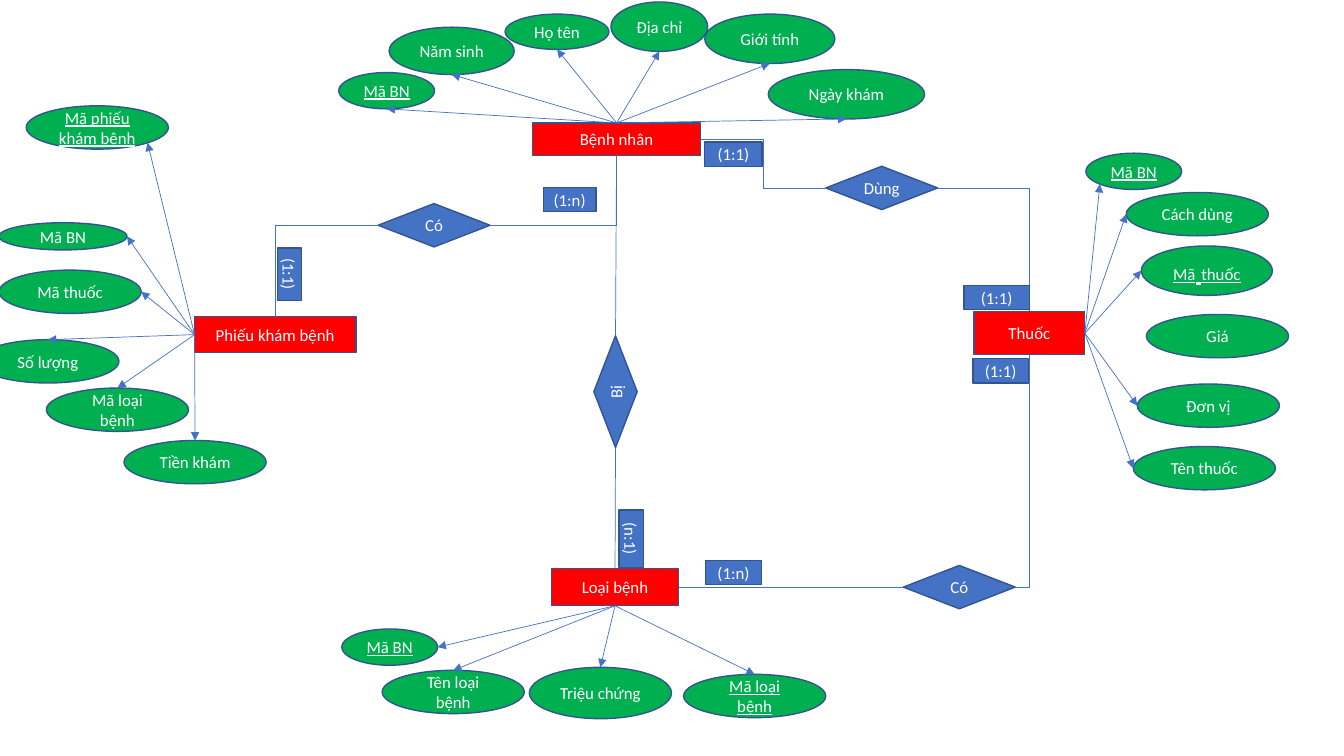
from dataclasses import dataclass
from math import sqrt

from lxml.etree import SubElement
from pptx import Presentation
from pptx.dml.color import RGBColor
from pptx.enum.shapes import MSO_CONNECTOR, MSO_SHAPE
from pptx.enum.text import MSO_ANCHOR, PP_ALIGN
from pptx.oxml.ns import qn
from pptx.util import Pt

# Content: boxes are left, top, width, height in px (100 px to the inch)
SIZE = (1333, 750)

# Entity: key -> text, box
ENTITIES = {
    "patient": ("Bệnh nhân", (528, 122, 167, 32)),
    "drug": ("Thuốc", (966, 309, 110, 43)),
    "form": ("Phiếu khám bệnh", (193, 314, 160, 36)),
    "illness": ("Loại bệnh", (547, 564, 126, 37)),
}

# Relation: key -> text, box as seen, rotation
RELATIONS = {
    "takes": ("Dùng", (819, 165, 111, 43), 0),
    "treats": ("Có", (896, 561, 111, 43), 0),
    "holds": ("Có", (375, 202, 111, 43), 0),
    "suffers": ("Bị", (589, 333, 43, 111), 270),
}

# Attributes: entity, side the arrows leave, (text, box, arrow end, key field)
FIELDS = [
    ("patient", "n", [
        ("Địa chỉ", (606, 2, 96, 49), "s", False),
        ("Năm sinh", (386, 27, 124, 47), "s", False),
        ("Giới tính", (699, 14, 129, 49), "s", False),
        ("Họ tên", (501, 14, 103, 35), "s", False),
        ("Ngày khám", (762, 69, 155, 49), "s", False),
        ("Mã BN", (336, 72, 95, 36), "s", True),
    ]),
    ("form", "w", [
        ("Mã phiếu khám bệnh", (26, 105, 141, 43), "se", True),
        ("Mã BN", (-1, 221, 127, 27), "e", False),
        ("Mã thuốc", (-1, 268, 141, 43), "e", False),
        ("Số lượng", (-23, 337, 141, 43), "n", False),
        ("Mã loại bệnh", (46, 385, 141, 43), "n", False),
        ("Tiền khám", (123, 437, 141, 43), "n", False),
    ]),
    ("drug", "e", [
        ("Mã BN", (1077, 152, 95, 36), "sw", True),
        ("Cách dùng", (1117, 191, 141, 43), "w", False),
        (("Mã", " ", "thuốc"), (1132, 244, 130, 49), "w", True),
        ("Giá", (1137, 312, 141, 43), None, False),
        ("Đơn vị", (1128, 381, 141, 43), "w", False),
        ("Tên thuốc", (1124, 443, 141, 43), "w", False),
    ]),
    ("illness", "s", [
        ("Mã BN", (339, 624, 95, 36), "e", True),
        ("Tên loại bệnh", (379, 665, 141, 43), "n", False),
        ("Triệu chứng", (525, 662, 141, 51), "n", False),
        ("Mã loại bệnh", (678, 669, 141, 43), "n", True),
    ]),
]

# Links: from, side, to, side, route
LINKS = [
    ("patient", "e", "takes", "w", "step"),
    ("takes", "e", "drug", "n", "turn"),
    ("treats", "e", "drug", "s", "turn"),
    ("holds", "e", "patient", "s", "turn"),
    ("holds", "w", "form", "n", "turn"),
    ("illness", "e", "treats", "w", "plain"),
    ("patient", "s", "suffers", "n", "plain"),
    ("illness", "n", "suffers", "s", "plain"),
]

# Ratios: text, box as seen, rotation
RATIOS = [
    ("(1:1)", (699, 141, 57, 24), 0),
    ("(1:1)", (275, 246, 24, 52), 90),
    ("(n:1)", (614, 506, 24, 57), 90),
    ("(1:n)", (700, 556, 55, 24), 0),
    ("(1:1)", (956, 283, 65, 24), 0),
    ("(1:n)", (539, 186, 52, 24), 0),
    ("(1:1)", (965, 356, 55, 24), 0),
]


@dataclass(frozen=True)
class Theme:
    red: str = "FF0000"
    green: str = "00B050"
    blue: str = "4472C4"
    edge: str = "325491"
    ink: str = "FFFFFF"
    font: str = "Calibri"
    text: int = 12
    gap: int = 18


THEME = Theme()
SCALE = 9144  # EMU per px
DIAG = 1 / sqrt(2)
WAYS = {"n": (0, -1), "w": (-1, 0), "s": (0, 1), "e": (1, 0),
        "sw": (-DIAG, DIAG), "se": (DIAG, DIAG)}


def emu(*px):
    return [round(n * SCALE) for n in px]


def point(box, way):
    """Point on the edge of a box in a compass direction."""
    x, y, w, h = box
    dx, dy = WAYS[way]
    return x + w / 2 * (1 + dx), y + h / 2 * (1 + dy)


def write(shape, text, under=False):
    frame = shape.text_frame
    frame.word_wrap = True
    frame.vertical_anchor = MSO_ANCHOR.MIDDLE
    para = frame.paragraphs[0]
    para.alignment = PP_ALIGN.CENTER
    for part in [text] if isinstance(text, str) else text:
        run = para.add_run()
        run.text = part
        font = run.font
        font.name = THEME.font
        font.size = Pt(THEME.gap if part == " " else THEME.text)
        font.color.rgb = RGBColor.from_string(THEME.ink)
        if under:
            font.underline = True


def node(kind, text, box, fill, spin=0, under=False):
    x, y, w, h = box
    if spin:  # the stored frame is the upright one
        x, y, w, h = x + (w - h) / 2, y + (h - w) / 2, h, w
    shape = slide.shapes.add_shape(kind, *emu(x, y, w, h))
    shape.rotation = spin
    shape.shadow.inherit = False
    shape.fill.solid()
    shape.fill.fore_color.rgb = RGBColor.from_string(fill)
    shape.line.color.rgb = RGBColor.from_string(THEME.edge)
    shape.line.width = Pt(1)
    write(shape, text, under=under)
    return shape


def link(start, end, route="plain", arrow=False):
    kind = MSO_CONNECTOR.STRAIGHT if route == "plain" else MSO_CONNECTOR.ELBOW
    line = slide.shapes.add_connector(kind, *emu(*start, *end))
    line.line.color.rgb = RGBColor.from_string(THEME.blue)
    line.line.width = Pt(0.5)
    props = line._element.spPr
    if route == "turn":
        props.find(qn("a:prstGeom")).set("prst", "bentConnector2")
    if arrow:
        SubElement(props.find(qn("a:ln")), qn("a:tailEnd"), type="triangle")
    SubElement(props, qn("a:effectLst"))
    return line


deck = Presentation()
deck.slide_width, deck.slide_height = emu(*SIZE)
slide = deck.slides.add_slide(deck.slide_layouts[6])
shapes, boxes = {}, {}

# Entities and relations
for key, (text, box) in ENTITIES.items():
    boxes[key] = box
    shapes[key] = node(MSO_SHAPE.RECTANGLE, text, box, THEME.red)
for key, (text, box, spin) in RELATIONS.items():
    boxes[key] = box
    shapes[key] = node(MSO_SHAPE.FLOWCHART_DECISION, text, box, THEME.blue, spin=spin)

# Attributes with their arrows
for key, side, items in FIELDS:
    for text, box, way, main in items:
        node(MSO_SHAPE.OVAL, text, box, THEME.green, under=main)
        if way:
            line = link(point(boxes[key], side), point(box, way), arrow=True)
            line.begin_connect(shapes[key], "nwse".index(side))

# Links between entities and relations
for head, out, tail, into, route in LINKS:
    line = link(point(boxes[head], out), point(boxes[tail], into), route=route)
    if route == "plain":
        line.begin_connect(shapes[head], "nwse".index(out))
        if not shapes[tail].rotation:
            line.end_connect(shapes[tail], "nwse".index(into))

# Ratio labels
for text, box, spin in RATIOS:
    node(MSO_SHAPE.RECTANGLE, text, box, THEME.blue, spin=spin)

deck.save("out.pptx")
